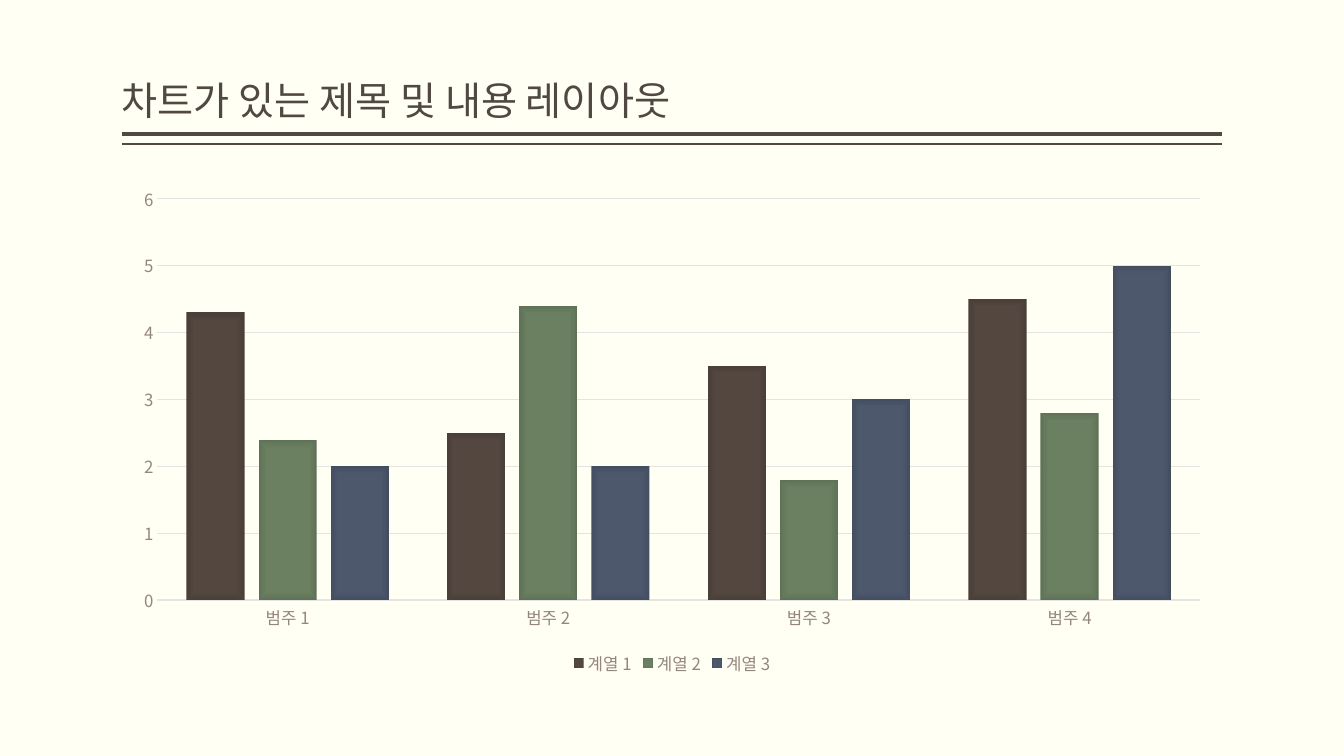
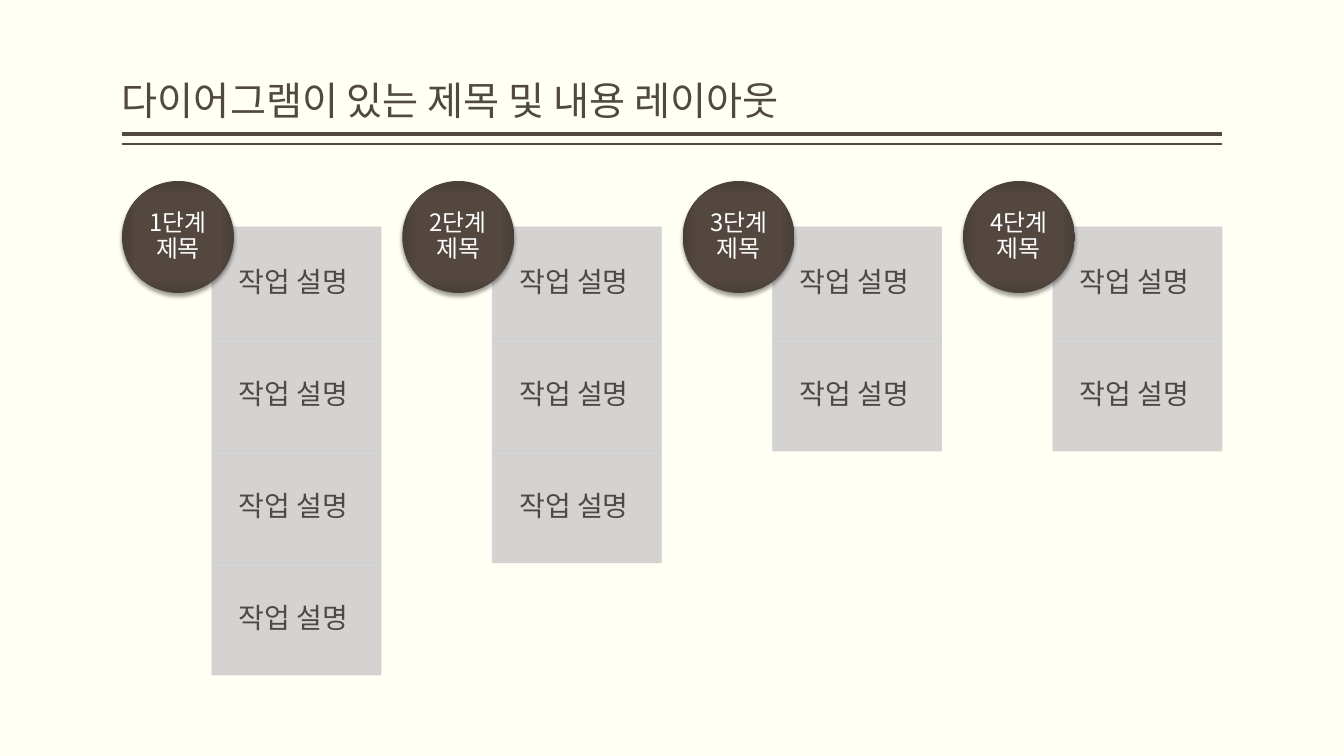
from dataclasses import dataclass

import lxml.etree
import pptx
import pptx.chart.data
import pptx.dml.color
import pptx.enum.chart
import pptx.enum.shapes
import pptx.enum.text
import pptx.oxml
import pptx.oxml.ns
import pptx.util

RGBColor = pptx.dml.color.RGBColor
qn = pptx.oxml.ns.qn

EMU_PER_PX = 914400 / 100.8
SLIDE_WIDTH, SLIDE_HEIGHT = 1344, 756
MARGIN, CONTENT_WIDTH = 122, 1100

CREAM = RGBColor(0xFF, 0xFF, 0xF3)
INK = RGBColor(0x51, 0x48, 0x43)
LABEL = RGBColor(0x94, 0x86, 0x7E)
GRID = RGBColor(0xE6, 0xE3, 0xE1)
TILE = RGBColor(0xD0, 0xCF, 0xCF)
WHITE = RGBColor(0xFF, 0xFF, 0xFF)
BODY_FONT, CHART_FONT = "Noto Sans CJK KR", "Lato"


@dataclass(frozen=True)
class Shade:
    """Colours of a gradient running from the centre to the edges."""
    centre: RGBColor
    middle: RGBColor
    edge: RGBColor


BROWN = Shade(RGBColor(0x54, 0x47, 0x40), RGBColor(0x53, 0x47, 0x40), RGBColor(0x4A, 0x3F, 0x39))
GREEN = Shade(RGBColor(0x6B, 0x81, 0x62), RGBColor(0x6A, 0x80, 0x61), RGBColor(0x5F, 0x72, 0x56))
BLUE = Shade(RGBColor(0x4E, 0x59, 0x6E), RGBColor(0x4D, 0x58, 0x6D), RGBColor(0x44, 0x4E, 0x61))


@dataclass(frozen=True)
class Rule:
    y: int
    weight: int


@dataclass(frozen=True)
class Series:
    name: str
    values: tuple[float, ...]
    shade: Shade


@dataclass(frozen=True)
class Step:
    title: str
    tasks: int


TITLE_RULES = (Rule(134, 3), Rule(144, 1))
CATEGORIES = ("범주 1", "범주 2", "범주 3", "범주 4")
SERIES = (
    Series("계열 1", (4.3, 2.5, 3.5, 4.5), BROWN),
    Series("계열 2", (2.4, 4.4, 1.8, 2.8), GREEN),
    Series("계열 3", (2, 2, 3, 5), BLUE),
)
STEPS = (Step("1단계 제목", 4), Step("2단계 제목", 3), Step("3단계 제목", 2), Step("4단계 제목", 2))
TASK = "작업 설명"

CIRCLE_TOP, CIRCLE_SIZE = 181, 112
TILE_TOP, TILE_WIDTH, TILE_HEIGHT, TILE_OFFSET = 227, 169, 112, 90
STEP_PITCH = (CONTENT_WIDTH - TILE_OFFSET - TILE_WIDTH) / (len(STEPS) - 1)


def px(length: float) -> int:
    return round(length * EMU_PER_PX)


def add_east_asian_fonts(element: lxml.etree.ElementBase) -> None:
    """Use each Latin typeface for East Asian text as well."""
    for latin in element.iter(qn("a:latin")):
        if latin.getnext() is None or latin.getnext().tag != qn("a:ea"):
            ea = latin.makeelement(qn("a:ea"), {"typeface": latin.get("typeface")})
            latin.addnext(ea)


def shade_fill(element: lxml.etree.ElementBase, shade: Shade) -> None:
    """Replace the element's first solid fill by a centred gradient."""
    stops = "".join(
        f'<a:gs pos="{position}"><a:srgbClr val="{color}"/></a:gs>'
        for position, color in ((0, shade.centre), (71000, shade.middle), (100000, shade.edge))
    )
    gradient = pptx.oxml.parse_xml(
        f'<a:gradFill {pptx.oxml.ns.nsdecls("a")} rotWithShape="1"><a:gsLst>{stops}</a:gsLst>'
        '<a:path path="rect"><a:fillToRect l="50000" t="50000" r="50000" b="50000"/></a:path>'
        "</a:gradFill>"
    )
    solid = next(element.iter(qn("a:solidFill")))
    solid.getparent().replace(solid, gradient)


def write(shape, text: str, size: int, color: RGBColor, align, space_after: int = 0) -> None:
    frame = shape.text_frame
    frame.text = text
    frame.word_wrap = True
    frame.auto_size = pptx.enum.text.MSO_AUTO_SIZE.NONE
    paragraph = frame.paragraphs[0]
    paragraph.alignment = align
    paragraph.line_spacing = 0.9
    paragraph.space_before = pptx.util.Pt(0)
    paragraph.space_after = pptx.util.Pt(space_after)
    for run in paragraph.runs:
        run.font.size = pptx.util.Pt(size)
        run.font.name = BODY_FONT
        run.font.color.rgb = color
    add_east_asian_fonts(shape.element)


def set_insets(shape, left: int, top: int, right: int, bottom: int) -> None:
    frame = shape.text_frame
    frame.margin_left, frame.margin_top = px(left), px(top)
    frame.margin_right, frame.margin_bottom = px(right), px(bottom)


def add_titled_slide(deck, heading: str):
    slide = deck.slides.add_slide(deck.slide_layouts.get_by_name("Title Only"))
    title = slide.shapes.title
    title.left, title.top = px(MARGIN), px(8)
    title.width, title.height = px(CONTENT_WIDTH), px(121)
    write(title, heading, 28, INK, pptx.enum.text.PP_ALIGN.LEFT)
    title.text_frame.vertical_anchor = pptx.enum.text.MSO_ANCHOR.BOTTOM
    set_insets(title, 0, 5, 0, 5)
    for rule in TITLE_RULES:
        line = slide.shapes.add_connector(
            pptx.enum.shapes.MSO_CONNECTOR.STRAIGHT,
            px(MARGIN), px(rule.y), px(MARGIN + CONTENT_WIDTH), px(rule.y),
        )
        line.line.color.rgb = INK
        line.line.width = pptx.util.Pt(rule.weight)
        lxml.etree.SubElement(line.element.spPr, qn("a:effectLst"))
    return slide


def style_labels(font) -> None:
    font.name = BODY_FONT
    font.size = pptx.util.Pt(12)
    font.color.rgb = LABEL


def add_column_chart(slide) -> None:
    data = pptx.chart.data.CategoryChartData()
    data.categories = CATEGORIES
    for series in SERIES:
        data.add_series(series.name, series.values)
    chart = slide.shapes.add_chart(
        pptx.enum.chart.XL_CHART_TYPE.COLUMN_CLUSTERED,
        px(MARGIN), px(176), px(CONTENT_WIDTH), px(504), data,
    ).chart
    chart.has_title = False
    chart.font.name = CHART_FONT
    chart.font.size = pptx.util.Pt(10)
    chart.font.color.rgb = INK

    chart.has_legend = True
    chart.legend.position = pptx.enum.chart.XL_LEGEND_POSITION.BOTTOM
    chart.legend.include_in_layout = False
    style_labels(chart.legend.font)

    for axis in (chart.category_axis, chart.value_axis):
        axis.major_tick_mark = pptx.enum.chart.XL_TICK_MARK.NONE
        axis.minor_tick_mark = pptx.enum.chart.XL_TICK_MARK.NONE
        style_labels(axis.tick_labels.font)
    chart.category_axis.format.line.color.rgb = GRID
    chart.category_axis.format.line.width = pptx.util.Pt(1)

    scale = chart.value_axis
    scale.minimum_scale, scale.maximum_scale, scale.major_unit = 0, 6, 1
    scale.format.line.fill.background()
    scale.has_major_gridlines = True
    scale.major_gridlines.format.line.color.rgb = GRID
    scale.major_gridlines.format.line.width = pptx.util.Pt(0.75)

    plot = chart.plots[0]
    plot.vary_by_categories = False
    plot.gap_width, plot.overlap = 100, -24
    for column in plot.series:
        column.format.fill.solid()
    for column_xml, series in zip(chart.element.iter(qn("c:ser")), SERIES):
        shade_fill(column_xml, series.shade)
    add_east_asian_fonts(chart.element)


def add_task(slide, left: float, top: int) -> None:
    tile = slide.shapes.add_shape(
        pptx.enum.shapes.MSO_SHAPE.RECTANGLE, px(left), px(top), px(TILE_WIDTH), px(TILE_HEIGHT)
    )
    tile.shadow.inherit = False
    tile.fill.solid()
    tile.fill.fore_color.rgb = TILE
    tile.line.color.rgb = TILE
    tile.line.width = pptx.util.Pt(0.5)
    for color in tile.element.spPr.iter(qn("a:srgbClr")):
        lxml.etree.SubElement(color, qn("a:alpha"), val="90000")
    write(tile, TASK, 20, INK, pptx.enum.text.PP_ALIGN.LEFT, 7)
    tile.text_frame.vertical_anchor = pptx.enum.text.MSO_ANCHOR.MIDDLE
    set_insets(tile, 27, 16, 16, 16)


def add_step_circle(slide, left: float, title: str) -> None:
    circle = slide.shapes.add_shape(
        pptx.enum.shapes.MSO_SHAPE.OVAL, px(left), px(CIRCLE_TOP), px(CIRCLE_SIZE), px(CIRCLE_SIZE)
    )
    circle.fill.solid()
    shade_fill(circle.element.spPr, BROWN)
    circle.line.fill.background()
    circle.shadow.inherit = False
    circle.element.spPr.find(qn("a:effectLst")).append(pptx.oxml.parse_xml(
        f'<a:outerShdw {pptx.oxml.ns.nsdecls("a")} blurRad="39370" dist="25400" dir="5400000"'
        ' rotWithShape="0"><a:srgbClr val="000000"><a:alpha val="38000"/></a:srgbClr></a:outerShdw>'
    ))
    write(circle, title, 17, WHITE, pptx.enum.text.PP_ALIGN.CENTER, 6)
    circle.text_frame.vertical_anchor = pptx.enum.text.MSO_ANCHOR.MIDDLE
    set_insets(circle, 0, 0, 0, 0)


def add_steps(slide) -> None:
    for index, step in enumerate(STEPS):
        left = MARGIN + index * STEP_PITCH
        for row in range(step.tasks):
            add_task(slide, left + TILE_OFFSET, TILE_TOP + row * TILE_HEIGHT)
        add_step_circle(slide, left, step.title)


def main() -> None:
    deck = pptx.Presentation()
    deck.slide_width, deck.slide_height = px(SLIDE_WIDTH), px(SLIDE_HEIGHT)
    background = deck.slide_master.background.fill
    background.solid()
    background.fore_color.rgb = CREAM

    add_column_chart(add_titled_slide(deck, "차트가 있는 제목 및 내용 레이아웃"))
    add_steps(add_titled_slide(deck, "다이어그램이 있는 제목 및 내용 레이아웃"))
    deck.save("out.pptx")


if __name__ == "__main__":
    main()
